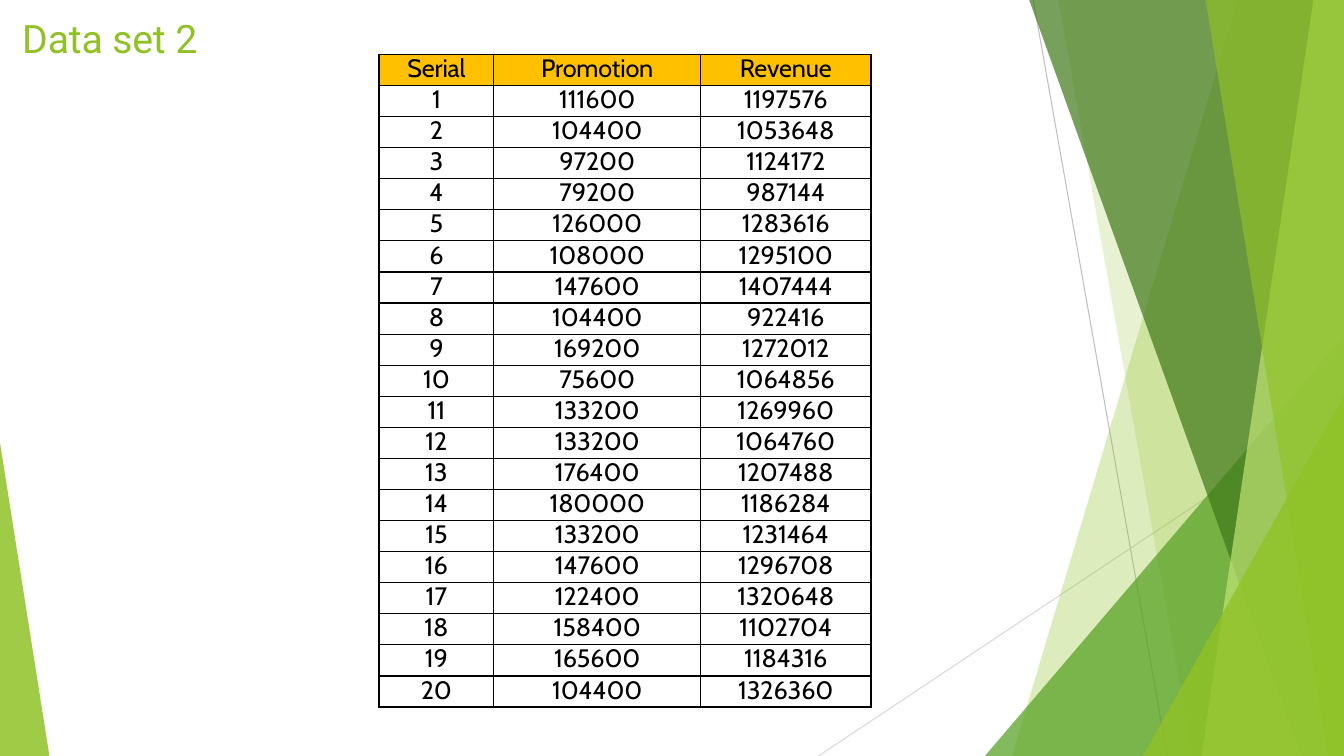
"""Build the "Data set 2" slide: a promotion and revenue table between green facets."""
from dataclasses import dataclass

from lxml.etree import SubElement
from pptx import Presentation
from pptx.dml.color import RGBColor
from pptx.enum.shapes import MSO_CONNECTOR, MSO_SHAPE
from pptx.enum.text import MSO_ANCHOR, MSO_AUTO_SIZE, PP_ALIGN
from pptx.oxml import parse_xml
from pptx.oxml.ns import nsdecls, qn
from pptx.util import Inches, Pt


@dataclass(frozen=True)
class Theme:
    lime: str = "90C226"
    green: str = "54A021"
    forest: str = "3F7819"
    pale: str = "C0E474"
    header: str = "FFC000"
    ink: str = "000000"
    heading_font: str = "Roboto"
    heading_size: float = 28
    body_font: str = "Cabin"
    body_size: float = 18
    leading: float = 21.1


theme = Theme()
deck = Presentation()
deck.slide_width, deck.slide_height = Inches(13.33), Inches(7.5)
slide = deck.slides.add_slide(deck.slide_layouts[5])


def share(across, down):
    """Turn percentages of the slide's width and height into lengths."""
    return round(deck.slide_width * across / 100), round(deck.slide_height * down / 100)


def add_run(paragraph, words, font, size, colour, spacing):
    """Add one formatted run with its letter spacing in hundredths of a point."""
    run = paragraph.add_run()
    run.text = words
    run.font.name = font
    run.font.size = Pt(size)
    run.font.color.rgb = RGBColor.from_string(colour)
    run.font._element.set("spc", str(spacing))


hairlines = [
    ((76.88, 0), (86.85, 100), "BFBFBF"),
    ((100, 53.73), (60.9, 100), "D9D9D9"),
]
for start, end, colour in hairlines:
    hairline = slide.shapes.add_connector(MSO_CONNECTOR.STRAIGHT, *share(*start), *share(*end))
    hairline.line.color.rgb = RGBColor.from_string(colour)
    hairline.line.width = Pt(0.75)
    SubElement(hairline._element.spPr, qn("a:effectLst"))

facets = [
    ("beam", (92.1, 75.3), theme.lime, 30),
    ("beam", (78.75, 88.73), theme.lime, 20),
    ("wedge", (73.28, 100, 44.4, 1), theme.green, 72),
    ("beam", (76.58, 96.83), theme.forest, 70),
    ("beam", (97.73, 89.4), theme.pale, 70),
    ("beam", (89.7, 98.85), theme.lime, 65),
    ("wedge", (85.05, 100, 52.4, 1), theme.lime, 80),
    ("wedge", (0, 3.68, 58.53, 0), theme.lime, 85),
]
for kind, extent, colour, opacity in facets:
    if kind == "beam":
        top, bottom = extent
        outline = slide.shapes.build_freeform(*share(top, 0))
        outline.add_line_segments([share(100, 0), share(100, 100), share(bottom, 100)])
        facet = outline.convert_to_shape()
    else:
        left, right, peak, tip = extent
        facet = slide.shapes.add_shape(
            MSO_SHAPE.ISOSCELES_TRIANGLE, *share(left, peak), *share(right - left, 100 - peak)
        )
        facet.adjustments[0] = tip
    facet.shadow.inherit = False
    facet.line.fill.background()
    facet.fill.solid()
    facet.fill.fore_color.rgb = RGBColor.from_string(colour)
    tint = facet._element.spPr.find(".//" + qn("a:srgbClr"))
    SubElement(tint, qn("a:alpha"), val=str(opacity * 1000))

heading = slide.shapes.title
heading.left, heading.top = share(1.58, 1.6)
heading.width, heading.height = share(18.45, 6.67)
heading_text = heading.text_frame
heading_text.margin_left = heading_text.margin_right = heading_text.margin_bottom = 0
heading_text.margin_top = Inches(0.02)
heading_text.vertical_anchor = MSO_ANCHOR.TOP
heading_text.word_wrap = True
heading_text.auto_size = MSO_AUTO_SIZE.SHAPE_TO_FIT_TEXT
heading_line = heading_text.paragraphs[0]
heading_line.alignment = PP_ALIGN.LEFT
heading_line.space_before = Pt(1.1)
heading_line._p.get_or_add_pPr().set("marL", str(Inches(0.01)))
for words, spacing in (("Data set ", -10), ("2", 10)):
    add_run(heading_line, words, theme.heading_font, theme.heading_size, theme.lime, spacing)

promotions = [
    111600, 104400, 97200, 79200, 126000, 108000, 147600, 104400, 169200, 75600,
    133200, 133200, 176400, 180000, 133200, 147600, 122400, 158400, 165600, 104400,
]
revenues = [
    1197576, 1053648, 1124172, 987144, 1283616, 1295100, 1407444, 922416, 1272012, 1064856,
    1269960, 1064760, 1207488, 1186284, 1231464, 1296708, 1320648, 1102704, 1184316, 1326360,
]
serials = range(1, len(promotions) + 1)
records = [("Serial", "Promotion", "Revenue"), *zip(serials, promotions, revenues)]
column_shares = (8.55, 15.38, 12.68)
table_size = share(sum(column_shares), 86.4)
data = slide.shapes.add_table(
    len(records), len(column_shares), *share(28.2, 7.2), *table_size
).table
data.first_row = data.horz_banding = False
for column, column_share in zip(data.columns, column_shares):
    column.width = share(column_share, 0)[0]

for row_index, record in enumerate(records):
    data.rows[row_index].height = table_size[1] // len(records)
    for column_index, entry in enumerate(record):
        cell = data.cell(row_index, column_index)
        cell.margin_left = cell.margin_right = cell.margin_top = cell.margin_bottom = 0
        for side in ("lnL", "lnR", "lnT", "lnB"):
            cell._tc.get_or_add_tcPr().append(parse_xml(
                f'<a:{side} {nsdecls("a")} w="{Pt(1)}"><a:solidFill>'
                f'<a:srgbClr val="{theme.ink}"/></a:solidFill></a:{side}>'
            ))
        if row_index == 0:
            cell.fill.solid()
            cell.fill.fore_color.rgb = RGBColor.from_string(theme.header)
        else:
            cell.fill.background()
        cell_line = cell.text_frame.paragraphs[0]
        cell_line.alignment = PP_ALIGN.CENTER
        cell_line.line_spacing = Pt(theme.leading)
        add_run(cell_line, str(entry), theme.body_font, theme.body_size, theme.ink, -10)

deck.save("out.pptx")
